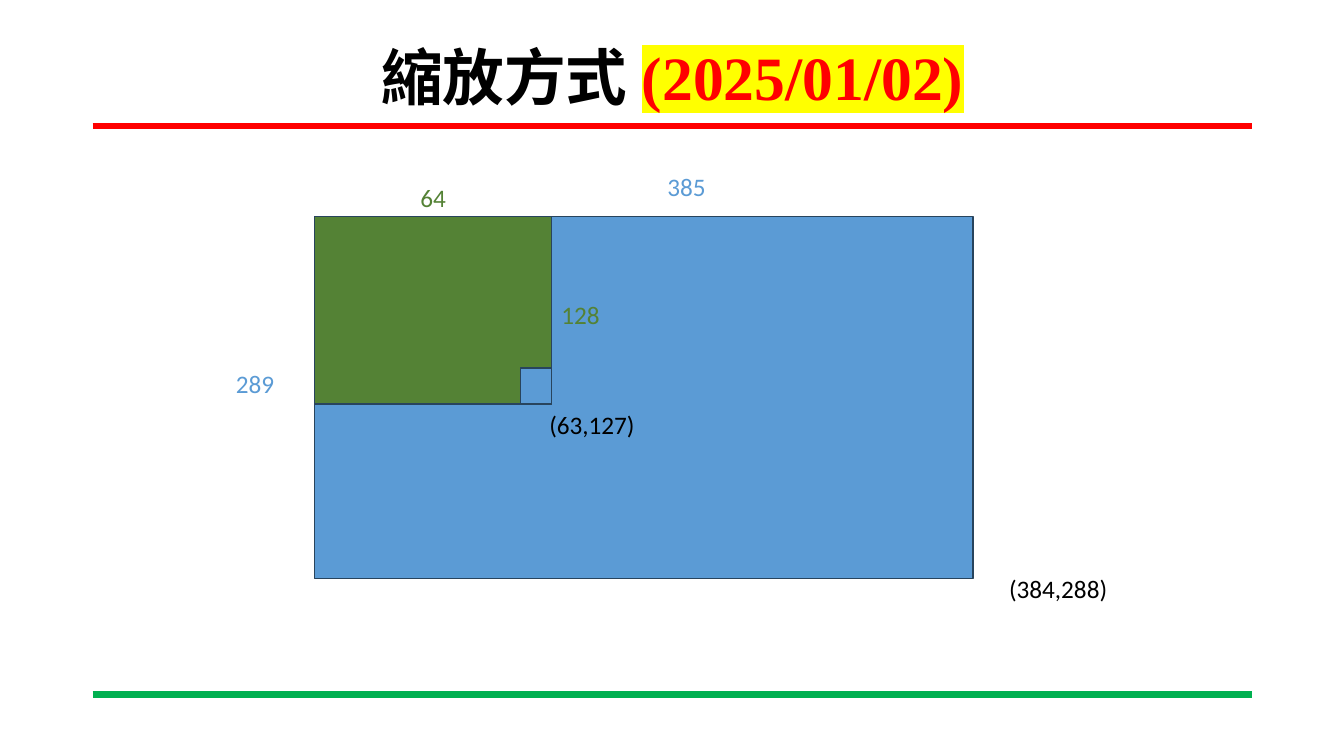
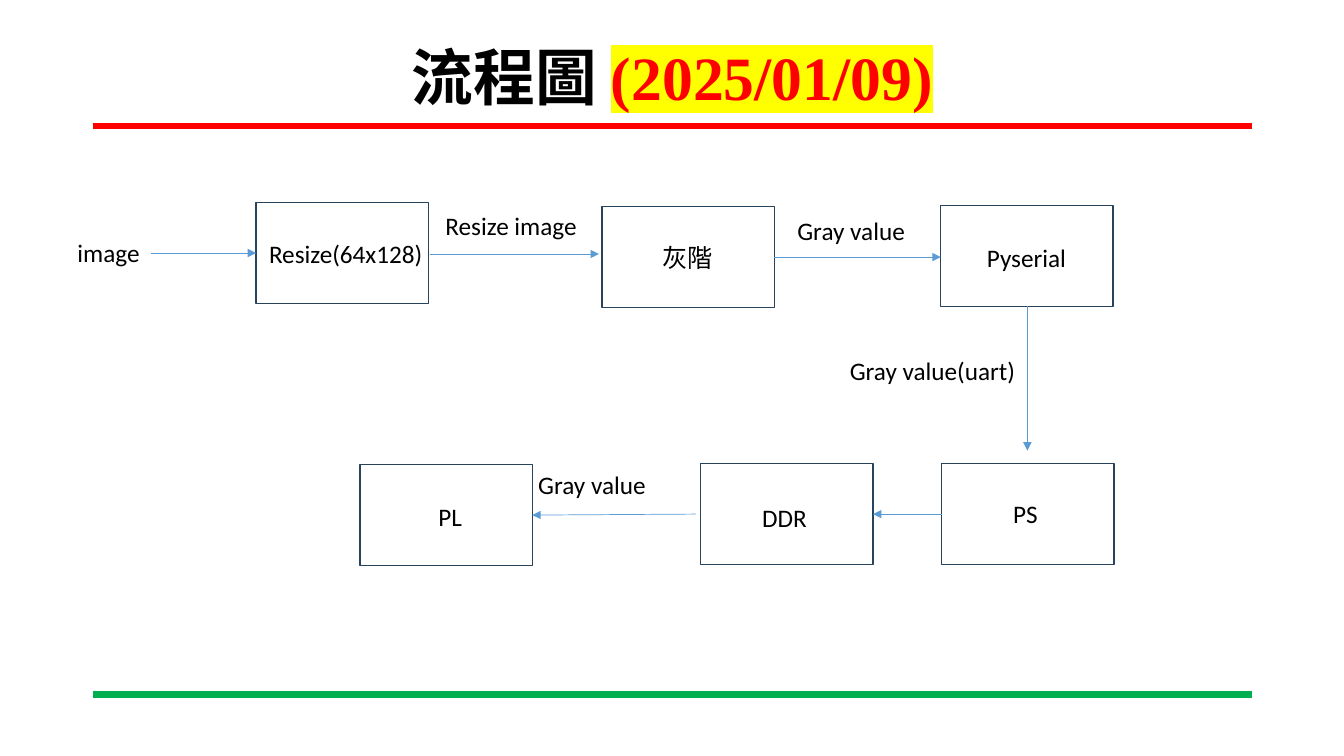
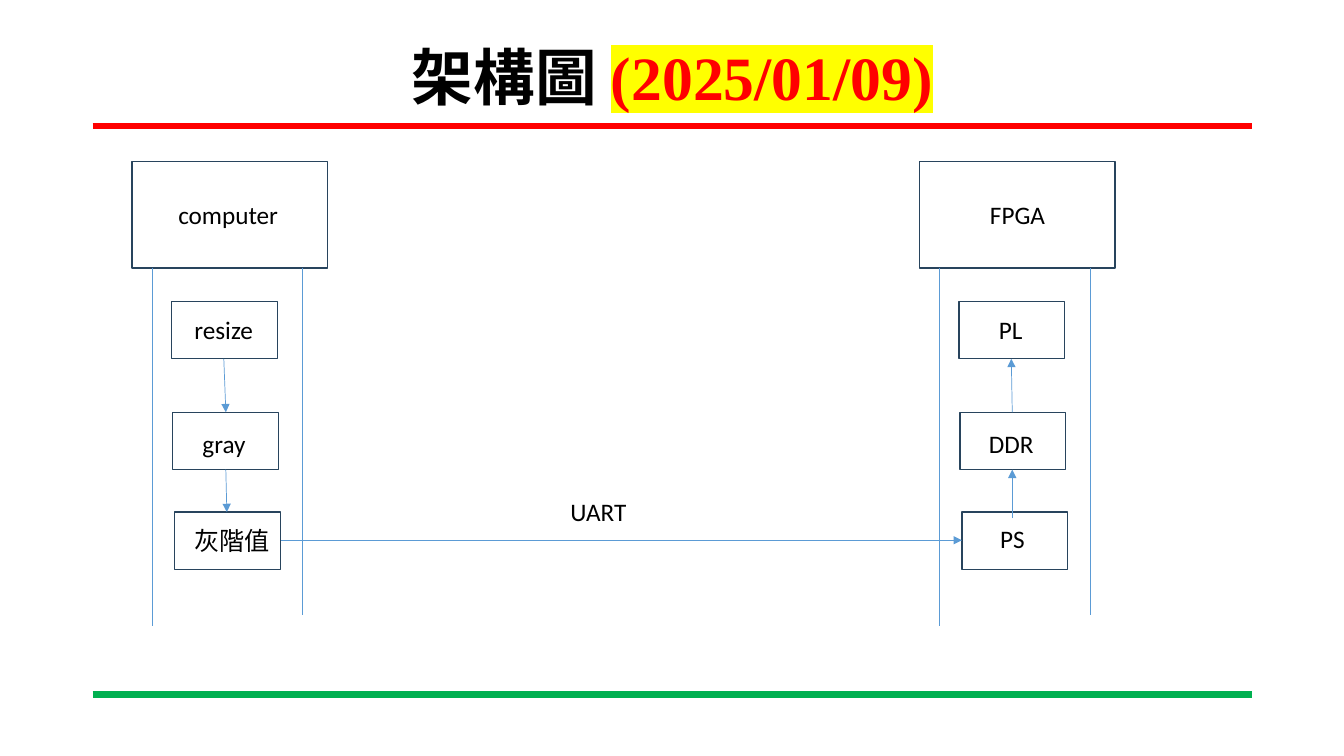
from dataclasses import dataclass

from lxml import etree
from pptx import Presentation
from pptx import util as u
from pptx.dml import color
from pptx.enum import shapes, text
from pptx.oxml import ns

BLACK, RED, YELLOW = "000000", "FF0000", "FFFF00"
BLUE, GREEN, OUTLINE, BOTTOM_GREEN = "5B9BD5", "548235", "28445D", "00B050"
BODY_FONT, TITLE_FONT = "Calibri", "Times New Roman"
LABEL_HEIGHT = 0.4
STEP_SIZE = (1.71, 1.0)
HEAD_SIZE = (1.94, 1.06)
STAGE_SIZE = (1.05, 0.57)


@dataclass(frozen=True)
class Block:
    left: float
    top: float
    width: float
    height: float
    fill: str | None = None


@dataclass(frozen=True)
class Label:
    words: str
    left: float
    top: float
    width: float
    colour: str = BLACK
    wrap: bool = False


@dataclass(frozen=True)
class Line:
    start: tuple[float, float]
    end: tuple[float, float]
    arrow: bool = True
    colour: str = BLUE
    weight: float = 0.5


def rgb(value: str) -> color.RGBColor:
    return color.RGBColor.from_string(value)


def style_span(span, font: str, size: float, colour: str, bold: bool = False) -> None:
    span.font.size = u.Pt(size)
    span.font.bold = bold
    span.font.color.rgb = rgb(colour)
    span.font.name = font


def highlight_span(span, colour: str) -> None:
    fill = span._r.get_or_add_rPr().find(ns.qn("a:solidFill"))
    highlight = etree.Element(ns.qn("a:highlight"))
    etree.SubElement(highlight, ns.qn("a:srgbClr"), val=colour)
    fill.addnext(highlight)


def draw_block(page, block: Block) -> None:
    shape = page.shapes.add_shape(
        shapes.MSO_SHAPE.RECTANGLE,
        *map(u.Inches, (block.left, block.top, block.width, block.height)),
    )
    shape.shadow.inherit = False
    if block.fill:
        shape.fill.solid()
        shape.fill.fore_color.rgb = rgb(block.fill)
    else:
        shape.fill.background()
    shape.line.color.rgb = rgb(OUTLINE)
    shape.line.width = u.Pt(1)


def draw_label(page, label: Label) -> None:
    box = page.shapes.add_textbox(
        *map(u.Inches, (label.left, label.top, label.width, LABEL_HEIGHT))
    )
    frame = box.text_frame
    frame.text = label.words
    frame.word_wrap = label.wrap
    frame.auto_size = text.MSO_AUTO_SIZE.SHAPE_TO_FIT_TEXT
    style_span(frame.paragraphs[0].runs[0], BODY_FONT, 18, label.colour)


def draw_line(page, line: Line):
    connector = page.shapes.add_connector(
        shapes.MSO_CONNECTOR.STRAIGHT, *map(u.Inches, line.start + line.end)
    )
    connector.line.color.rgb = rgb(line.colour)
    connector.line.width = u.Pt(line.weight)
    if line.arrow:
        outline = connector.line._get_or_add_ln()
        etree.SubElement(outline, ns.qn("a:tailEnd"), type="triangle")
    etree.SubElement(connector.element.spPr, ns.qn("a:effectLst"))
    return connector


def draw_all(page, items: list[Block | Label | Line]) -> None:
    painters = {Block: draw_block, Label: draw_label, Line: draw_line}
    for item in items:
        painters[type(item)](page, item)


def add_page(deck, topic: str, date: str):
    page = deck.slides.add_slide(deck.slide_layouts[5])
    title = page.shapes.title
    title.left, title.top, title.width, title.height = map(
        u.Inches, (0.92, 0.4, 11.5, 0.79)
    )
    frame = title.text_frame
    frame.auto_size = text.MSO_AUTO_SIZE.NONE
    frame.vertical_anchor = text.MSO_ANCHOR.MIDDLE
    para = frame.paragraphs[0]
    para.alignment = text.PP_ALIGN.CENTER
    para.line_spacing = 0.9
    for words, colour in ((f"{topic} ", BLACK), (f"({date})", RED)):
        span = para.add_run()
        span.text = words
        style_span(span, TITLE_FONT, 44, colour, bold=True)
    highlight_span(span, YELLOW)
    return page


def add_layout_rules(deck, page) -> None:
    for top, colour in ((1.25, RED), (6.89, BOTTOM_GREEN)):
        rule = draw_line(page, Line((0.92, top), (12.42, top), False, colour, 4.5))
        deck.slide_layouts[5].shapes.element.append(rule.element)


def draw_scaling(page) -> None:
    draw_all(page, [
        Block(3.12, 2.15, 6.53, 3.59, BLUE),
        Block(3.12, 2.15, 2.35, 1.86, GREEN),
        Label("385", 6.52, 1.65, 0.59, BLUE),
        Label("289", 2.24, 3.61, 0.59, BLUE),
        Label("64", 4.07, 1.76, 0.46, GREEN),
        Label("128", 5.47, 2.92, 0.59, GREEN),
        Label("(384,288)", 9.91, 5.64, 1.19),
        Label("(63,127)", 5.35, 4.01, 1.06),
        Block(5.16, 3.65, 0.31, 0.36, BLUE),
    ])


def draw_flow(page) -> None:
    corners = [(2.54, 2.01), (5.97, 2.05), (9.33, 2.04),
               (9.34, 4.6), (6.95, 4.6), (3.57, 4.61)]
    draw_all(page, [Block(*corner, *STEP_SIZE) for corner in corners])
    draw_all(page, [
        Label("image", 0.67, 2.31, 0.83),
        Line((1.5, 2.51), (2.54, 2.51)),
        Label("Resize(64x128)", 2.57, 2.32, 1.74),
        Line((4.26, 2.52), (5.94, 2.52)),
        Label("Resize image", 4.32, 2.04, 1.52),
        Label("灰階", 6.47, 2.35, 0.71),
        Line((7.68, 2.55), (9.33, 2.55)),
        Label("Gray value", 7.81, 2.09, 1.28),
        Label("Pyserial", 9.69, 2.36, 0.99),
        Line((10.19, 3.04), (10.19, 4.47)),
        Label("Gray value(uart)", 8.33, 3.48, 1.86),
        Label("PS", 9.95, 4.89, 0.45),
        Line((9.34, 5.1), (8.66, 5.1)),
        Label("DDR", 7.46, 4.93, 0.65),
        Line((6.9, 5.1), (5.28, 5.11)),
        Label("Gray value", 5.24, 4.61, 2, wrap=True),
        Label("PL", 4.25, 4.92, 0.44),
    ])


def draw_device(page, left: float, labels: list[Label]) -> None:
    draw_block(page, Block(left, 1.6, *HEAD_SIZE))
    for offset, bottom in ((0.2, 6.21), (1.69, 6.1)):
        draw_line(page, Line((left + offset, 2.66), (left + offset, bottom), False))
    for offset, top in ((0.39, 2.99), (0.4, 4.09), (0.42, 5.08)):
        draw_block(page, Block(left + offset, top, *STAGE_SIZE))
    draw_all(page, labels)


def draw_architecture(page) -> None:
    draw_device(page, 1.31, [
        Label("computer", 1.67, 1.93, 1.2),
        Label("resize", 1.83, 3.07, 0.79),
        Label("gray", 1.91, 4.2, 0.63),
        Label("灰階值", 1.83, 5.16, 0.96),
    ])
    draw_device(page, 9.12, [
        Label("FPGA", 9.72, 1.93, 0.75),
        Label("PL", 9.81, 3.07, 0.44),
        Label("DDR", 9.71, 4.2, 0.65),
        Label("PS", 9.82, 5.14, 0.45),
    ])
    draw_all(page, [
        Line((2.22, 3.56), (2.24, 4.09)),
        Line((2.24, 4.66), (2.25, 5.08)),
        Line((2.79, 5.36), (9.54, 5.36)),
        Label("UART", 5.56, 4.87, 0.76),
        Line((10.04, 5.14), (10.04, 4.66)),
        Line((10.04, 4.09), (10.03, 3.56)),
    ])


def main() -> None:
    deck = Presentation()
    deck.slide_width, deck.slide_height = u.Inches(13.33), u.Inches(7.5)
    scaling = add_page(deck, "縮放方式", "2025/01/02")
    add_layout_rules(deck, scaling)
    draw_scaling(scaling)
    draw_flow(add_page(deck, "流程圖", "2025/01/09"))
    draw_architecture(add_page(deck, "架構圖", "2025/01/09"))
    deck.save("out.pptx")


if __name__ == "__main__":
    main()
